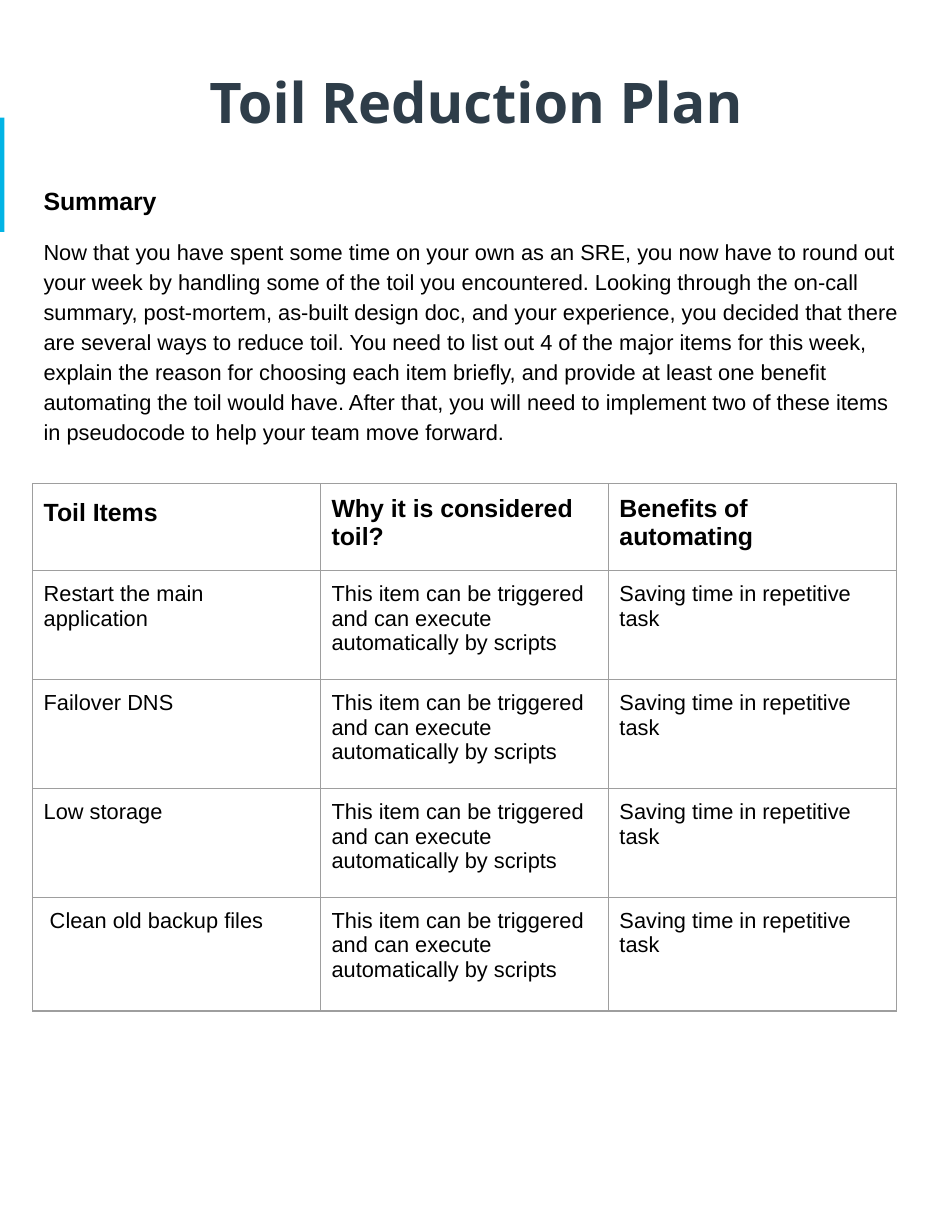
"""Build the one-page toil reduction plan with its summary and table."""
from dataclasses import dataclass

from lxml import etree
from pptx import Presentation
from pptx.dml.color import RGBColor
from pptx.enum.shapes import MSO_SHAPE
from pptx.enum.text import MSO_ANCHOR, MSO_AUTO_SIZE, PP_ALIGN
from pptx.oxml.ns import qn
from pptx.util import Pt

RECT = MSO_SHAPE.RECTANGLE
MIDDLE, TOP = MSO_ANCHOR.MIDDLE, MSO_ANCHOR.TOP
CENTER, LEFT = PP_ALIGN.CENTER, PP_ALIGN.LEFT
NO_FIT = MSO_AUTO_SIZE.NONE
INSET = Pt(7.2)
MARGIN = 20.88
CONTENT_W = 570.24
COL_W = 185.1
ROW_HEIGHTS = [56, 70, 70, 70, 73]
BORDER = "9E9E9E"

SUMMARY = (
    "Now that you have spent some time on your own as an SRE, you now have to round out "
    "your week by handling some of the toil you encountered. Looking through the on-call "
    "summary, post-mortem, as-built design doc, and your experience, you decided that there "
    "are several ways to reduce toil. You need to list out 4 of the major items for this week, "
    "explain the reason for choosing each item briefly, and provide at least one benefit "
    "automating the toil would have. After that, you will need to implement two of these items "
    "in pseudocode to help your team move forward."
)
REASON = "This item can be triggered and can execute automatically by scripts"
BENEFIT = "Saving time in repetitive task"
ITEMS = ["Restart the main application", "Failover DNS", "Low storage", " Clean old backup files"]


@dataclass(frozen=True)
class Style:
    size: float
    bold: bool = False
    font: str = "Arial"
    color: str = "000000"
    align: PP_ALIGN = LEFT
    line: float = 1.0
    before: float = 0
    after: float = 0


TITLE = Style(36, True, "Open Sans", "2E3D49", CENTER)
HEADING = Style(16, True, line=1.15, before=14)
BODY = Style(14, line=1.15, before=12)
FIRST_HEADER = Style(16, True, line=1.15, before=12)
HEADER = Style(16, True, before=12, after=12)
CELL = Style(14)


def rgb(value: str) -> RGBColor:
    return RGBColor.from_string(value)


def write(p, text: str, style: Style) -> None:
    p.alignment = style.align
    p.line_spacing = style.line
    p.space_before, p.space_after = Pt(style.before), Pt(style.after)
    r = p.add_run()
    r.text = text
    r.font.name, r.font.size, r.font.bold = style.font, Pt(style.size), style.bold
    r.font.color.rgb = rgb(style.color)


def set_frame(tf, anchor: MSO_ANCHOR) -> None:
    tf.word_wrap, tf.auto_size = True, NO_FIT
    tf.vertical_anchor = anchor
    tf.margin_left = tf.margin_right = tf.margin_top = tf.margin_bottom = INSET


def set_borders(cell) -> None:
    tc_pr = cell._tc.get_or_add_tcPr()
    for side in ("lnL", "lnR", "lnT", "lnB"):
        ln = etree.SubElement(tc_pr, qn(f"a:{side}"), w=str(Pt(0.75)))
        fill = etree.SubElement(ln, qn("a:solidFill"))
        etree.SubElement(fill, qn("a:srgbClr"), val=BORDER)


def add_accent(s) -> None:
    sp = s.shapes.add_shape(RECT, 0, Pt(75.6), Pt(2.88), Pt(73.44))
    sp.shadow.inherit = False
    sp.fill.solid()
    sp.fill.fore_color.rgb = rgb("02B4E5")
    sp.line.fill.background()


def add_title(s) -> None:
    sp = s.shapes.title
    sp.left, sp.top, sp.width, sp.height = Pt(MARGIN), Pt(MARGIN), Pt(CONTENT_W), Pt(87.84)
    set_frame(sp.text_frame, MIDDLE)
    write(sp.text_frame.paragraphs[0], "Toil Reduction Plan", TITLE)


def add_summary(s) -> None:
    sp = s.shapes.add_textbox(Pt(MARGIN), Pt(109.44), Pt(CONTENT_W), Pt(192.24))
    tf = sp.text_frame
    set_frame(tf, TOP)
    write(tf.paragraphs[0], "Summary", HEADING)
    write(tf.add_paragraph(), SUMMARY, BODY)


def add_toil_table(s) -> None:
    rows = [("Toil Items", "Why it is considered toil?", "Benefits of automating")]
    rows += [(item, REASON, BENEFIT) for item in ITEMS]
    styles = [(FIRST_HEADER, HEADER, HEADER)] + [(CELL,) * 3] * len(ITEMS)
    table = s.shapes.add_table(
        len(rows), 3, Pt(MARGIN), Pt(311), Pt(3 * COL_W), Pt(sum(ROW_HEIGHTS))
    ).table
    table.first_row = table.horz_banding = False
    for col in table.columns:
        col.width = Pt(COL_W)
    for i, (texts, row_styles) in enumerate(zip(rows, styles)):
        table.rows[i].height = Pt(ROW_HEIGHTS[i])
        for j, (text, style) in enumerate(zip(texts, row_styles)):
            cell = table.cell(i, j)
            set_borders(cell)
            cell.fill.background()
            cell.margin_left = cell.margin_right = INSET
            cell.margin_top = cell.margin_bottom = INSET
            write(cell.text_frame.paragraphs[0], text, style)


def main() -> None:
    prs = Presentation()
    prs.slide_width, prs.slide_height = Pt(612), Pt(792)
    s = prs.slides.add_slide(prs.slide_layouts[5])
    add_accent(s)
    add_title(s)
    add_summary(s)
    add_toil_table(s)
    prs.save("out.pptx")


if __name__ == "__main__":
    main()
